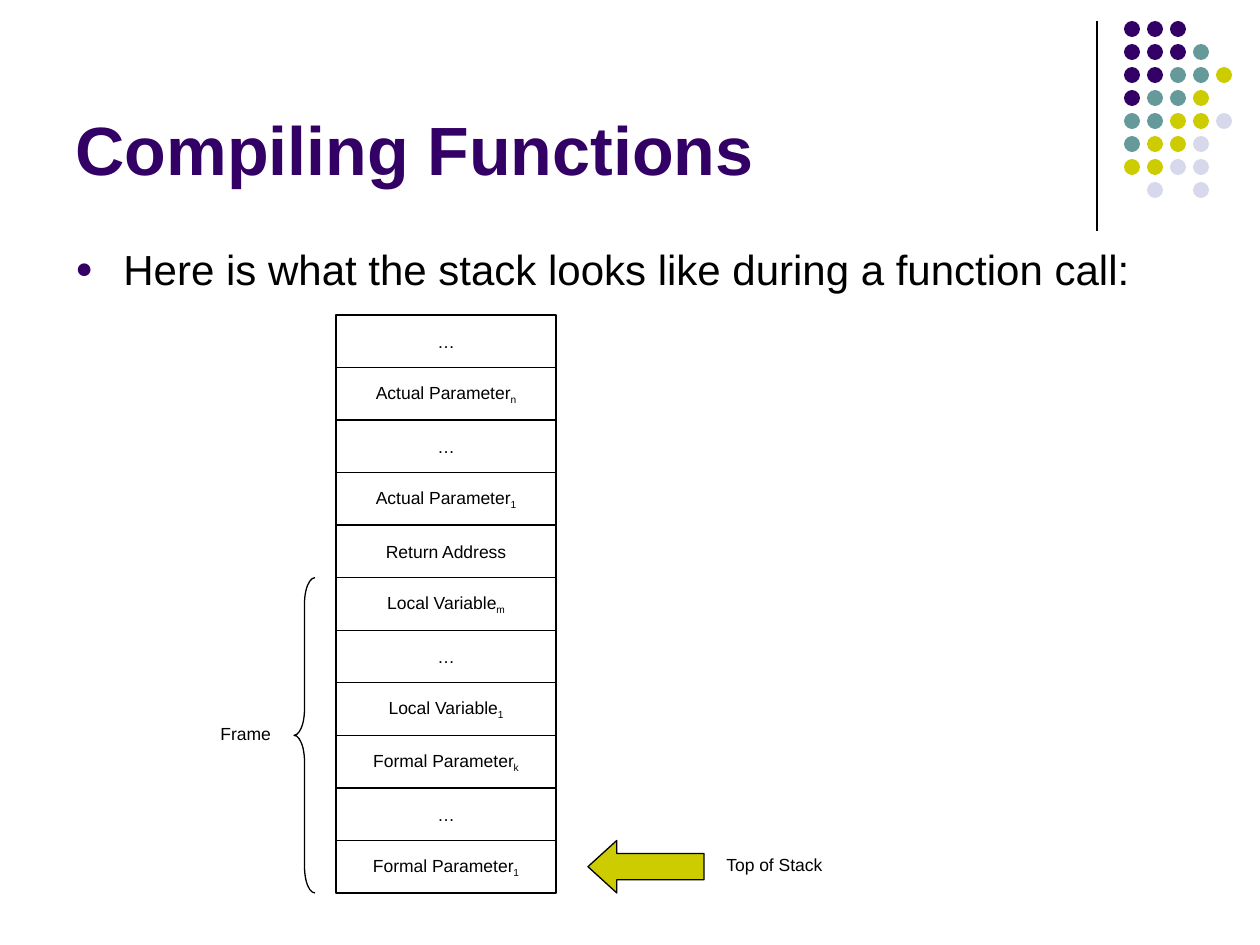
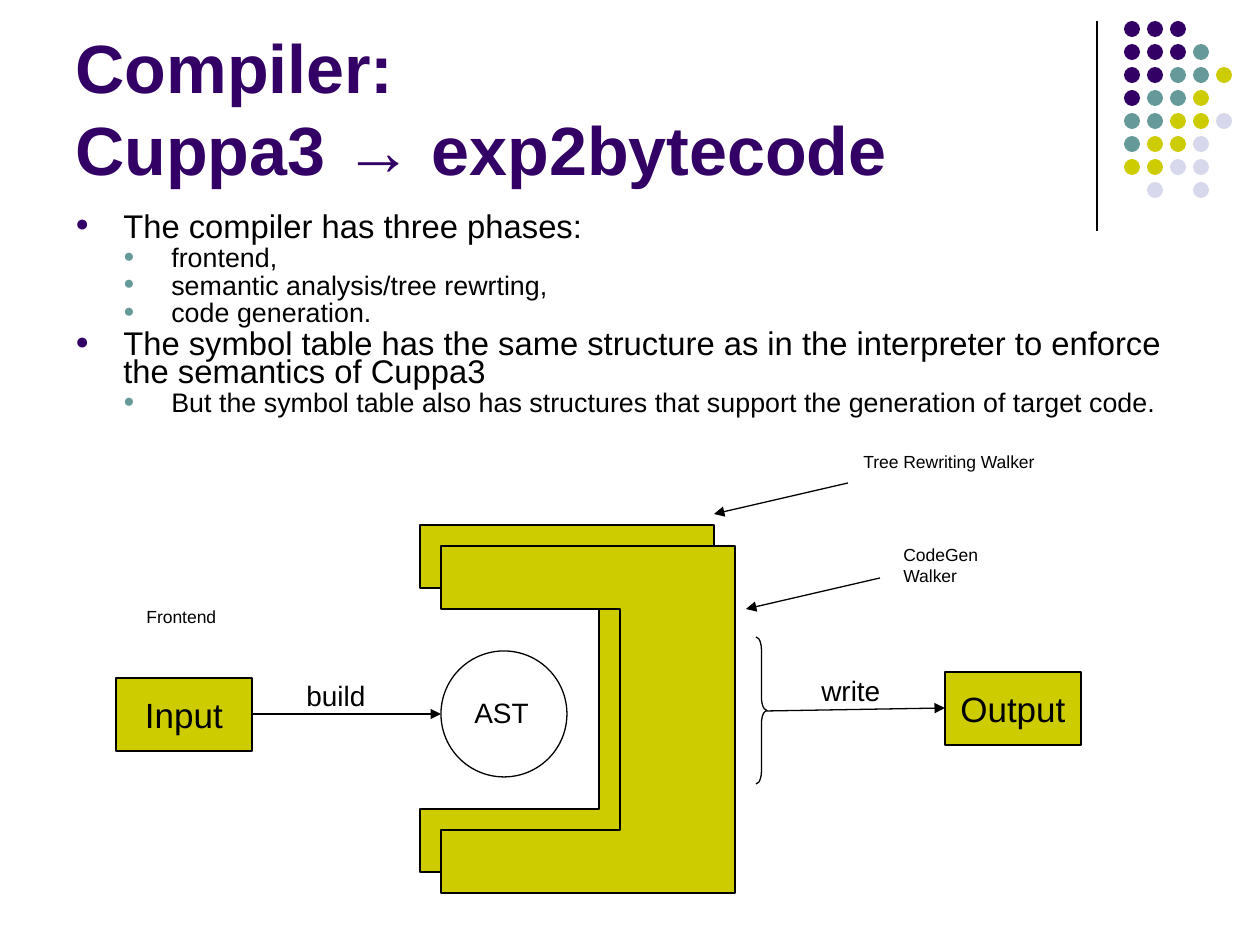
from dataclasses import dataclass
from lxml import etree
from pptx import Presentation
from pptx.dml.color import RGBColor
from pptx.enum.shapes import MSO_CONNECTOR, MSO_SHAPE
from pptx.enum.text import MSO_ANCHOR, MSO_AUTO_SIZE, PP_ALIGN
from pptx.oxml.ns import qn
from pptx.util import Emu, Pt

RECT, OVAL, ARROW = MSO_SHAPE.RECTANGLE, MSO_SHAPE.OVAL, MSO_SHAPE.LEFT_ARROW
LEFT_BRACE, RIGHT_BRACE = MSO_SHAPE.LEFT_BRACE, MSO_SHAPE.RIGHT_BRACE
STRAIGHT = MSO_CONNECTOR.STRAIGHT
TOP, MIDDLE, BOTTOM = MSO_ANCHOR.TOP, MSO_ANCHOR.MIDDLE, MSO_ANCHOR.BOTTOM
LEFT, CENTER = PP_ALIGN.LEFT, PP_ALIGN.CENTER
FIT = MSO_AUTO_SIZE.SHAPE_TO_FIT_TEXT
SCALE = 914400 // 126


@dataclass(frozen=True)
class Theme:
    font: str = "Arial"
    ink: str = "000000"
    plum: str = "330066"
    teal: str = "669999"
    lime: str = "CCCC00"
    mist: str = "D8D8EC"
    rule: float = 0.75
    title: float = 39
    lead: float = 24
    body: tuple = (18.7, 15.3)
    box: float = 20
    label: float = 16
    small: float = 10


T = Theme()
BULLETS = (T.plum, T.teal)
INDENT = 48

DOTS = ("PPP", "PPPT", "PPTTY", "PTTY", "TTYYL", "TYYL", "YYLL", " L L")
HUES = {"P": T.plum, "T": T.teal, "Y": T.lime, "L": T.mist}

STACK = {
    "title": "Compiling Functions",
    "lead": "Here is what the stack looks like during a function call:",
    "cells": ("…", "Actual Parameter_n", "…", "Actual Parameter_1",
              "Return Address", "Local Variable_m", "…", "Local Variable_1",
              "Formal Parameter_k", "…", "Formal Parameter_1"),
    "frame": 5,
    "labels": (("Top of Stack", (714, 848, 126, 34), T.small),
               ("Frame", (208, 717, 79, 34), T.small)),
}

PHASES = {
    "title": "Compiler: \vCuppa3 → exp2bytecode",
    "points": (
        (0, "The compiler has three phases: "),
        (1, "frontend, "),
        (1, "semantic analysis/tree rewrting, "),
        (1, "code generation."),
        (0, "The symbol table has the same structure as in the interpreter "
            "to enforce the semantics of Cuppa3"),
        (1, "But the symbol table also has structures that support the "
            "generation of target code."),
    ),
    "boxes": (("Input", (116, 678, 136, 73)), ("Output", (945, 672, 136, 73))),
    "walkers": ((420, 525), (441, 546)),
    "arrows": ((848, 483, 714, 514), (880, 578, 746, 609),
               (252, 714, 441, 714), (767, 711, 945, 708)),
    "labels": (
        ("AST", (462, 689, 88, 47), T.label),
        ("build", (294, 672, 88, 47), T.label),
        ("write", (809, 667, 88, 47), T.label),
        ("Tree Rewriting Walker", (851, 445, 204, 34), T.small),
        ("CodeGen\nWalker", (891, 538, 131, 72), T.small),
        ("Frontend", (134, 600, 123, 43), T.small),
    ),
}


def px(*nums):
    return [Emu(round(n * SCALE)) for n in nums]


def paint(shape, fill=None, line=T.ink):
    shape.shadow.inherit = False
    if fill:
        shape.fill.solid()
        shape.fill.fore_color.rgb = RGBColor.from_string(fill)
    else:
        shape.fill.background()
    if line:
        shape.line.color.rgb = RGBColor.from_string(line)
        shape.line.width = Pt(T.rule)
    else:
        shape.line.fill.background()
    return shape


def draw(slide, kind, spot, fill=None, line=T.ink, adjust=()):
    shape = slide.shapes.add_shape(kind, *px(*spot))
    for i, part in enumerate(adjust):
        shape.adjustments[i] = part
    return paint(shape, fill, line)


def link(slide, ends, head=False):
    wire = slide.shapes.add_connector(STRAIGHT, *px(*ends))
    wire.line.color.rgb = RGBColor.from_string(T.ink)
    wire.line.width = Pt(T.rule)
    if head:
        etree.SubElement(wire.line._get_or_add_ln(), qn("a:tailEnd"),
                         type="triangle")
    etree.SubElement(wire._element.spPr, qn("a:effectLst"))


def bullet(para, level, size):
    para.level = level
    para.space_before = Pt(round(size * 0.2, 1))
    props = para._p.get_or_add_pPr()
    props.set("marL", str(INDENT * (level + 1) * SCALE))
    props.set("indent", str(-INDENT * SCALE))
    hue = etree.SubElement(props, qn("a:buClr"))
    etree.SubElement(hue, qn("a:srgbClr"), val=BULLETS[level])
    etree.SubElement(props, qn("a:buSzPct"), val="70000")
    etree.SubElement(props, qn("a:buFont"), typeface=T.font)
    etree.SubElement(props, qn("a:buChar"), char="●")


def write(shape, text, size=T.small, color=T.ink, bold=False, align=LEFT,
          anchor=TOP, wrap=False, level=None, pitch=None):
    frame = shape.text_frame
    frame.word_wrap = wrap
    frame.vertical_anchor = anchor
    for row in text.split("\n"):
        para = frame.paragraphs[-1]
        if para.runs:
            para = frame.add_paragraph()
        para.alignment = align
        if pitch:
            para.line_spacing = pitch
        if level is not None:
            bullet(para, level, size)
        for i, line in enumerate(row.split("\v")):
            if i:
                para.add_line_break()
            for j, part in enumerate(line.split("_")):
                run = para.add_run()
                run.text = part
                run.font.name, run.font.size = T.font, Pt(size)
                run.font.bold = bold
                run.font.color.rgb = RGBColor.from_string(color)
                if j:
                    run._r.get_or_add_rPr().set("baseline", "-25000")


def area(slide, spot):
    return slide.shapes.add_textbox(*px(*spot))


def label(slide, items):
    for text, spot, size in items:
        note = area(slide, spot)
        write(note, text, size=size)
        note.text_frame.auto_size = FIT


def start(deck, title):
    slide = deck.slides.add_slide(deck.slide_layouts[6])
    link(slide, (1097, 21, 1097, 231))
    for i, row in enumerate(DOTS):
        for j, key in enumerate(row):
            if key in HUES:
                spot = (1124 + 23 * j, 21 + 23 * i, 16, 16)
                draw(slide, OVAL, spot, fill=HUES[key], line=None)
    write(area(slide, (63, 16, 1040, 179)), title, size=T.title,
          color=T.plum, bold=True, anchor=BOTTOM, wrap=True)
    return slide


def stack(deck, data):
    slide = start(deck, data["title"])
    write(area(slide, (63, 237, 1134, 68)), data["lead"], size=T.lead,
          wrap=True, level=0)
    left, top, wide, tall = 336, 315, 220, 578
    step = tall / len(data["cells"])
    for i, text in enumerate(data["cells"]):
        cell = draw(slide, RECT, (left, top + i * step, wide, step))
        write(cell, text, align=CENTER, anchor=MIDDLE)
    skip = data["frame"] * step
    draw(slide, LEFT_BRACE, (left - 42, top + skip, 21, tall - skip),
         adjust=(1.25, 0.5))
    draw(slide, ARROW, (588, top + tall - step, 116, step), fill=T.lime,
         adjust=(0.5, 0.55))
    label(slide, data["labels"])


def walker(slide, left, top, wide=294, tall=347, arm=63, inner=179):
    right, low = left + wide, top + tall
    pen = slide.shapes.build_freeform(left, top, scale=SCALE)
    pen.add_line_segments((
        (right, top), (right, low), (left, low), (left, low - arm),
        (left + inner, low - arm), (left + inner, top + arm),
        (left, top + arm)), close=True)
    paint(pen.convert_to_shape(), T.lime)


def phases(deck, data):
    slide = start(deck, data["title"])
    body = area(slide, (63, 210, 1134, 220))
    for level, text in data["points"]:
        write(body, text, size=T.body[level], wrap=True, level=level,
              pitch=0.7)
    draw(slide, OVAL, (441, 651, 126, 126))
    for text, spot in data["boxes"]:
        write(draw(slide, RECT, spot, fill=T.lime), text, size=T.box,
              align=CENTER, anchor=MIDDLE)
    for spot in data["walkers"]:
        walker(slide, *spot)
    draw(slide, RIGHT_BRACE, (756, 637, 11, 147), adjust=(1.17, 0.5))
    for ends in data["arrows"]:
        link(slide, ends, head=True)
    label(slide, data["labels"])


deck = Presentation()
deck.slide_width, deck.slide_height = px(1260, 945)
stack(deck, STACK)
phases(deck, PHASES)
deck.save("out.pptx")
